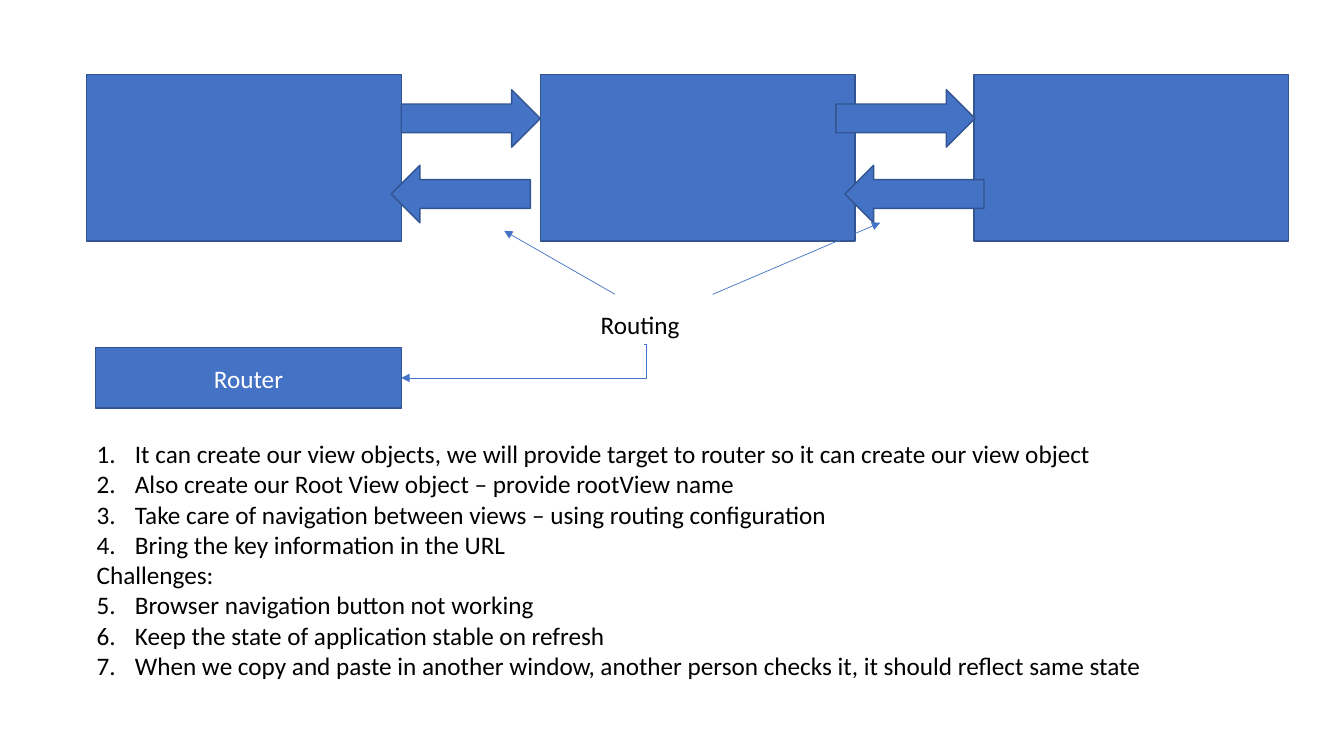
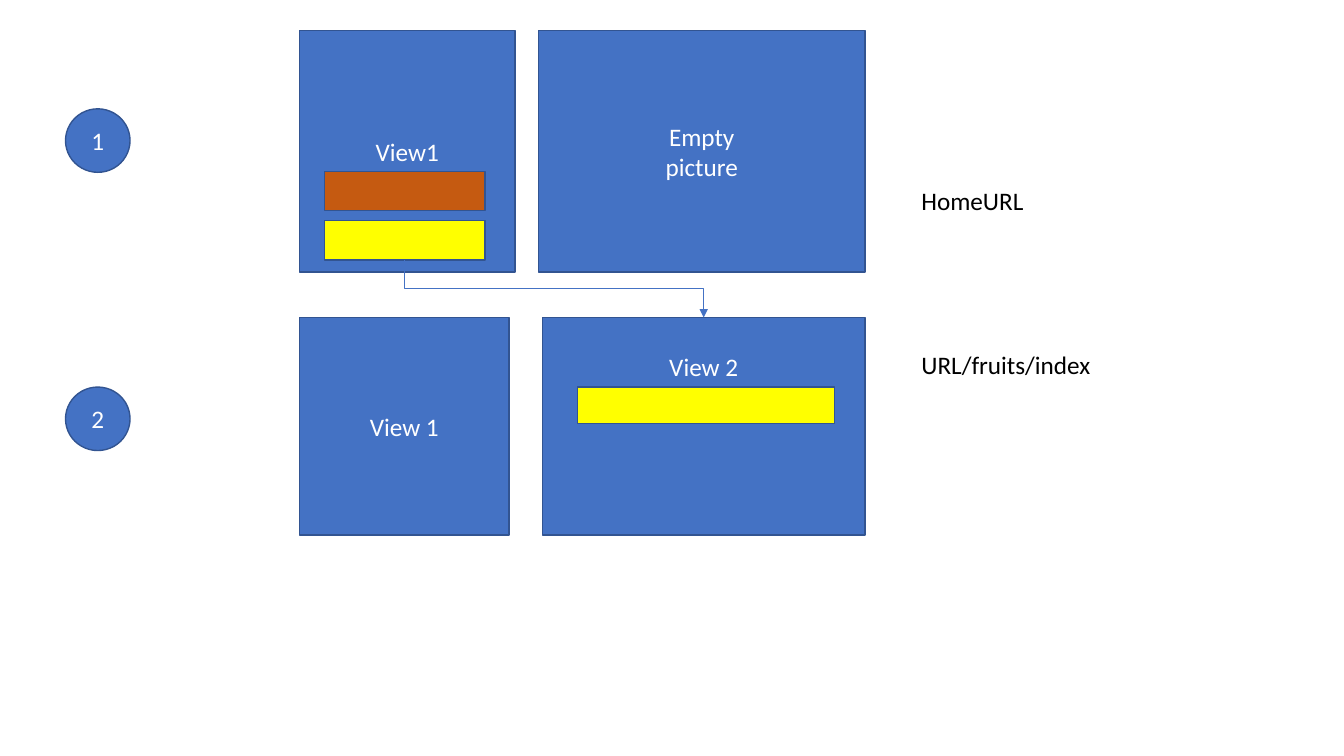
from dataclasses import dataclass

from lxml.etree import SubElement
from pptx import Presentation
from pptx.dml.color import RGBColor
from pptx.enum.shapes import MSO_CONNECTOR as Connector, MSO_SHAPE as Preset
from pptx.enum.text import MSO_ANCHOR as Anchor, PP_ALIGN as Align
from pptx.oxml.ns import qn
from pptx.util import Inches, Pt


@dataclass(frozen=True)
class Theme:
    font: str = "Calibri"
    text_size: Pt = Pt(18)
    outline_width: Pt = Pt(1)
    connector_width: Pt = Pt(0.5)
    blue: RGBColor = RGBColor(0x44, 0x72, 0xC4)
    outline: RGBColor = RGBColor(0x32, 0x54, 0x91)
    orange: RGBColor = RGBColor(0xC5, 0x5A, 0x11)
    yellow: RGBColor = RGBColor(0xFF, 0xFF, 0x00)
    white: RGBColor = RGBColor(0xFF, 0xFF, 0xFF)
    black: RGBColor = RGBColor(0x00, 0x00, 0x00)


THEME = Theme()


@dataclass(frozen=True)
class Box:
    """A region in inches; its areas are placed from its top left corner."""
    left: float
    top: float
    width: float
    height: float

    def area(self, dx, dy, width, height):
        return Box(self.left + dx, self.top + dy, width, height)

    def point(self, dx, dy):
        return self.left + dx, self.top + dy

    def lengths(self):
        return [Inches(value) for value in (self.left, self.top, self.width, self.height)]


# Shared elements
def write(frame, lines, color, align):
    frame.word_wrap = True
    frame.text = "\n".join(lines)
    for paragraph in frame.paragraphs:
        paragraph.alignment = align
        paragraph.font.name = THEME.font
        paragraph.font.size = THEME.text_size
        paragraph.font.color.rgb = color


def add_block(slide, box, *lines, preset=Preset.RECTANGLE, fill=THEME.blue):
    shape = slide.shapes.add_shape(preset, *box.lengths())
    shape.shadow.inherit = False
    shape.fill.solid()
    shape.fill.fore_color.rgb = fill
    shape.line.color.rgb = THEME.outline
    shape.line.width = THEME.outline_width
    if lines:
        write(shape.text_frame, lines, THEME.white, Align.CENTER)
        shape.text_frame.vertical_anchor = Anchor.MIDDLE
    return shape


def add_text(slide, box, *lines):
    text_box = slide.shapes.add_textbox(*box.lengths())
    write(text_box.text_frame, lines, THEME.black, Align.LEFT)
    return text_box


def add_arrow(slide, begin, end, kind=Connector.STRAIGHT):
    ends = [Inches(value) for value in (*begin, *end)]
    arrow = slide.shapes.add_connector(kind, *ends)
    arrow.line.color.rgb = THEME.blue
    arrow.line.width = THEME.connector_width
    properties = arrow.element.spPr
    SubElement(properties.find(qn("a:ln")), qn("a:tailEnd"), type="triangle")
    SubElement(properties, qn("a:effectLst"))
    return arrow


def add_side_elbow(slide, begin, end, bend):
    """Leave sideways and turn at a share of the width."""
    arrow = add_arrow(slide, begin, end, Connector.ELBOW)
    guides = arrow.element.spPr.find(qn("a:prstGeom")).find(qn("a:avLst"))
    SubElement(guides, qn("a:gd"), name="adj1", fmla=f"val {round(bend * 100000)}")


def add_down_elbow(slide, begin, end):
    """Leave downwards, cross to the right halfway, and enter downwards."""
    middle_x, middle_y = (begin[0] + end[0]) / 2, (begin[1] + end[1]) / 2
    half_run, half_drop = (end[0] - begin[0]) / 2, (end[1] - begin[1]) / 2
    arrow = add_arrow(slide, (middle_x + half_drop, middle_y - half_run),
                      (middle_x - half_drop, middle_y + half_run), Connector.ELBOW)
    arrow.element.spPr.find(qn("a:xfrm")).set("rot", str(270 * 60000))


def number_paragraph(paragraph):
    properties = paragraph._p.get_or_add_pPr()
    indent = Inches(0.38)
    properties.set("marL", str(indent))
    properties.set("indent", str(-indent))
    SubElement(properties, qn("a:buFont"), typeface="+mj-lt")
    SubElement(properties, qn("a:buAutoNum"), type="arabicPeriod")
    # Bullet settings go before the default run properties
    defaults = properties.find(qn("a:defRPr"))
    if defaults is not None:
        properties.append(defaults)


# Slide 1: routing between views
def add_view_chain(slide, box):
    for dx in (0, 4.5, 8.8):
        add_block(slide, box.area(dx, 0, 3.12, box.height))
    for dx, dy, rotation in ((3.12, 0.15, 0), (7.43, 0.15, 0),
                             (7.52, 0.9, 180), (3.02, 0.9, 180)):
        arrow = add_block(slide, box.area(dx, dy, 1.38, 0.57), preset=Preset.RIGHT_ARROW)
        arrow.rotation = rotation


def add_router(slide, box):
    add_arrow(slide, box.point(5.15, 0.71), box.point(4.05, 0.08))
    add_arrow(slide, box.point(6.12, 0.71), box.point(7.78, 0))
    add_text(slide, box.area(4.91, 0.81, 3.12, 0.4), "Routing")
    add_block(slide, box.area(0, 1.24, 3.03, 0.6), "Router")
    add_side_elbow(slide, box.point(5.44, 1.21), box.point(3.03, 1.54), -0.01)


def add_router_notes(slide, box):
    heading = "Challenges:"
    notes = add_text(
        slide, box,
        "It can create our view objects, we will provide target to router "
        "so it can create our view object",
        "Also create our Root View object – provide rootView name",
        "Take care of navigation between views – using routing configuration",
        "Bring the key information in the URL",
        heading,
        "Browser navigation button not working",
        "Keep the state of application stable on refresh",
        "When we copy and paste in another window, another person checks it, "
        "it should reflect same state")
    for paragraph in notes.text_frame.paragraphs:
        if paragraph.text != heading:
            number_paragraph(paragraph)


def build_routing_slide(slide):
    add_view_chain(slide, Box(0.86, 0.74, 11.92, 1.65))
    add_router(slide, Box(0.95, 2.21, 7.78, 1.84))
    add_router_notes(slide, Box(0.86, 4.3, 11.12, 2.52))


# Slide 2: what each address shows
def add_step(slide, box, number, url, url_dy):
    add_block(slide, box.area(0, 0, 0.64, 0.63), number, preset=Preset.OVAL)
    add_text(slide, box.area(8.39, url_dy, 3.3, 0.4), url)


def add_home_views(slide, box):
    add_block(slide, box.area(0, 0, 2.14, box.height), "View1")
    add_block(slide, box.area(2.37, 0, 3.24, box.height), "Empty", "picture")
    for dy, fill in ((1.4, THEME.orange), (1.89, THEME.yellow)):
        add_block(slide, box.area(0.25, dy, 1.59, 0.39), fill=fill)


def add_fruit_views(slide, box):
    add_block(slide, box.area(0, 0, 2.08, box.height), "View 1")
    detail = add_block(slide, box.area(2.41, 0, 3.2, box.height), "View 2")
    detail.text_frame.vertical_anchor = Anchor.TOP
    detail.text_frame.margin_top = Inches(0.34)
    add_block(slide, box.area(2.76, 0.69, 2.55, 0.36), fill=THEME.yellow)


def build_address_slide(slide):
    home = Box(2.97, 0.3, 5.61, 2.4)
    fruits = Box(2.97, 3.15, 5.61, 2.16)
    add_home_views(slide, home)
    add_fruit_views(slide, fruits)
    add_down_elbow(slide, home.point(1.04, 2.28), fruits.point(4.01, 0))
    add_step(slide, Box(0.65, 1.08, 11.69, 1.11), "1", "HomeURL", 0.71)
    add_step(slide, Box(0.65, 3.84, 11.69, 0.63), "2", "URL/fruits/index", -0.42)


presentation = Presentation()
presentation.slide_width = Inches(13.33)
presentation.slide_height = Inches(7.5)
blank_layout = presentation.slide_layouts[6]
for build in (build_routing_slide, build_address_slide):
    build(presentation.slides.add_slide(blank_layout))
presentation.save("out.pptx")
